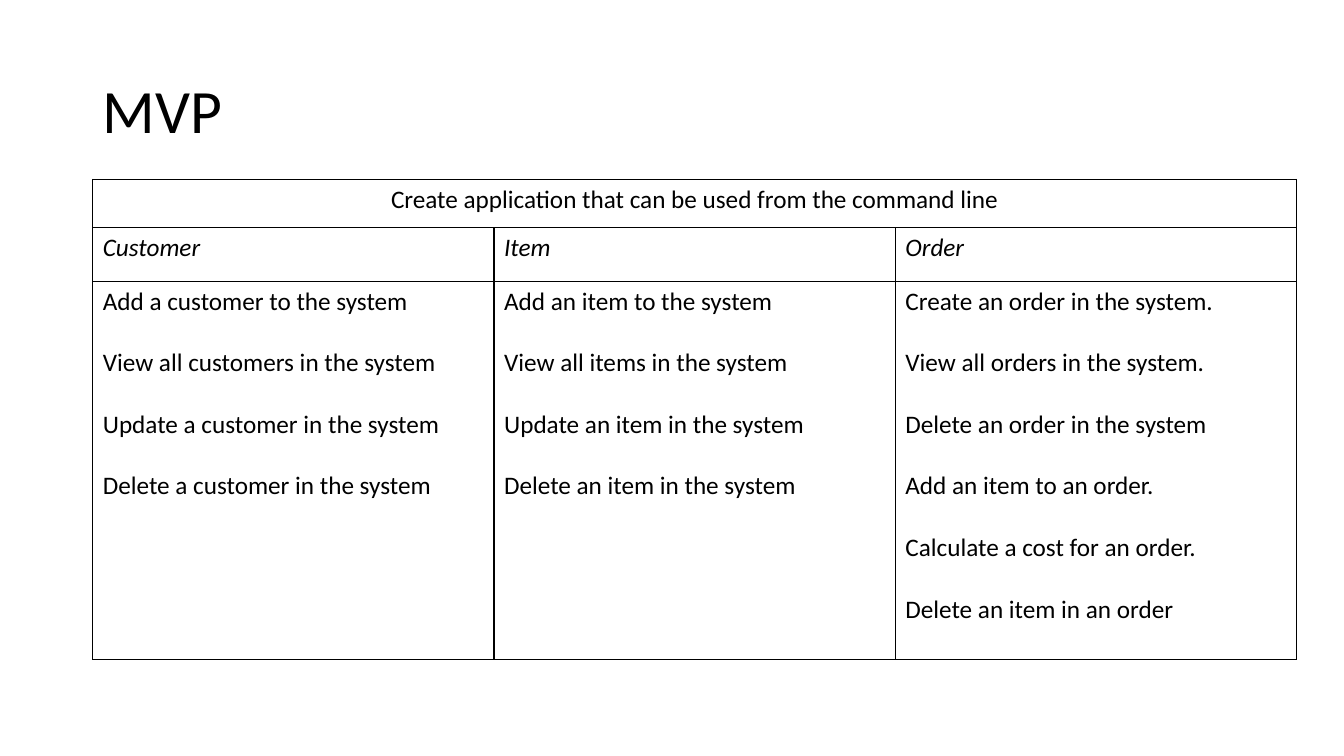
from lxml import etree
from pptx import Presentation, util as u
from pptx.dml.color import RGBColor
from pptx.enum import text
from pptx.oxml.ns import qn

deck = Presentation()
deck.slide_width, deck.slide_height = u.Inches(13.33), u.Inches(7.5)
wide, high = deck.slide_width, deck.slide_height
slide = deck.slides.add_slide(deck.slide_layouts[6])
left = u.Inches(0.92)
ink, paper = "000000", "FFFFFF"


def tint(code):
    return RGBColor.from_string(code)


def write(para, words, size, slant=False):
    run = para.add_run()
    run.text = words
    run.font.name = "Calibri"
    run.font.size = u.Pt(size)
    run.font.italic = slant
    run.font.color.rgb = tint(ink)


title = slide.shapes.add_textbox(left, u.Inches(0.4), wide - 2 * left, u.Inches(1.45))
frame = title.text_frame
frame.word_wrap = True
frame.vertical_anchor = text.MSO_ANCHOR.MIDDLE
frame.paragraphs[0].line_spacing = 0.9
write(frame.paragraphs[0], "MVP", 44)

goal = "Create application that can be used from the command line"
tasks = {
    "Customer": [
        "Add a customer to the system",
        "View all customers in the system",
        "Update a customer in the system",
        "Delete a customer in the system",
    ],
    "Item": [
        "Add an item to the system",
        "View all items in the system",
        "Update an item in the system",
        "Delete an item in the system",
    ],
    "Order": [
        "Create an order in the system.",
        "View all orders in the system.",
        "Delete an order in the system",
        "Add an item to an order.",
        "Calculate a cost for an order.",
        "Delete an item in an order",
    ],
}
rows = [0.48, 0.53, 3.75]
span = u.Inches(3.98)
table = slide.shapes.add_table(
    len(rows), len(tasks), left, u.Inches(1.78), span * len(tasks), u.Inches(sum(rows))
).table
table.first_row = table.horz_banding = False
for row, tall in zip(table.rows, rows):
    row.height = u.Inches(tall)
for col in table.columns:
    col.width = span

for cell in table.iter_cells():
    props = cell._tc.get_or_add_tcPr()
    for side in ("lnL", "lnR", "lnT", "lnB"):
        line = etree.SubElement(props, qn("a:" + side), w=str(u.Pt(1)))
        fill = etree.SubElement(line, qn("a:solidFill"))
        etree.SubElement(fill, qn("a:srgbClr"), val=ink)
    cell.fill.solid()
    cell.fill.fore_color.rgb = tint(paper)

top = table.cell(0, 0)
top.merge(table.cell(0, len(tasks) - 1))
para = top.text_frame.paragraphs[0]
para.alignment = text.PP_ALIGN.CENTER
write(para, goal, 18)

for col, (head, items) in enumerate(tasks.items()):
    write(table.cell(1, col).text_frame.paragraphs[0], head, 18, True)
    frame = table.cell(2, col).text_frame
    for at, item in enumerate(items):
        para = frame.add_paragraph() if at else frame.paragraphs[0]
        para.space_before = u.Pt(22 if at else 0)
        write(para, item, 18)

deck.save("out.pptx")
